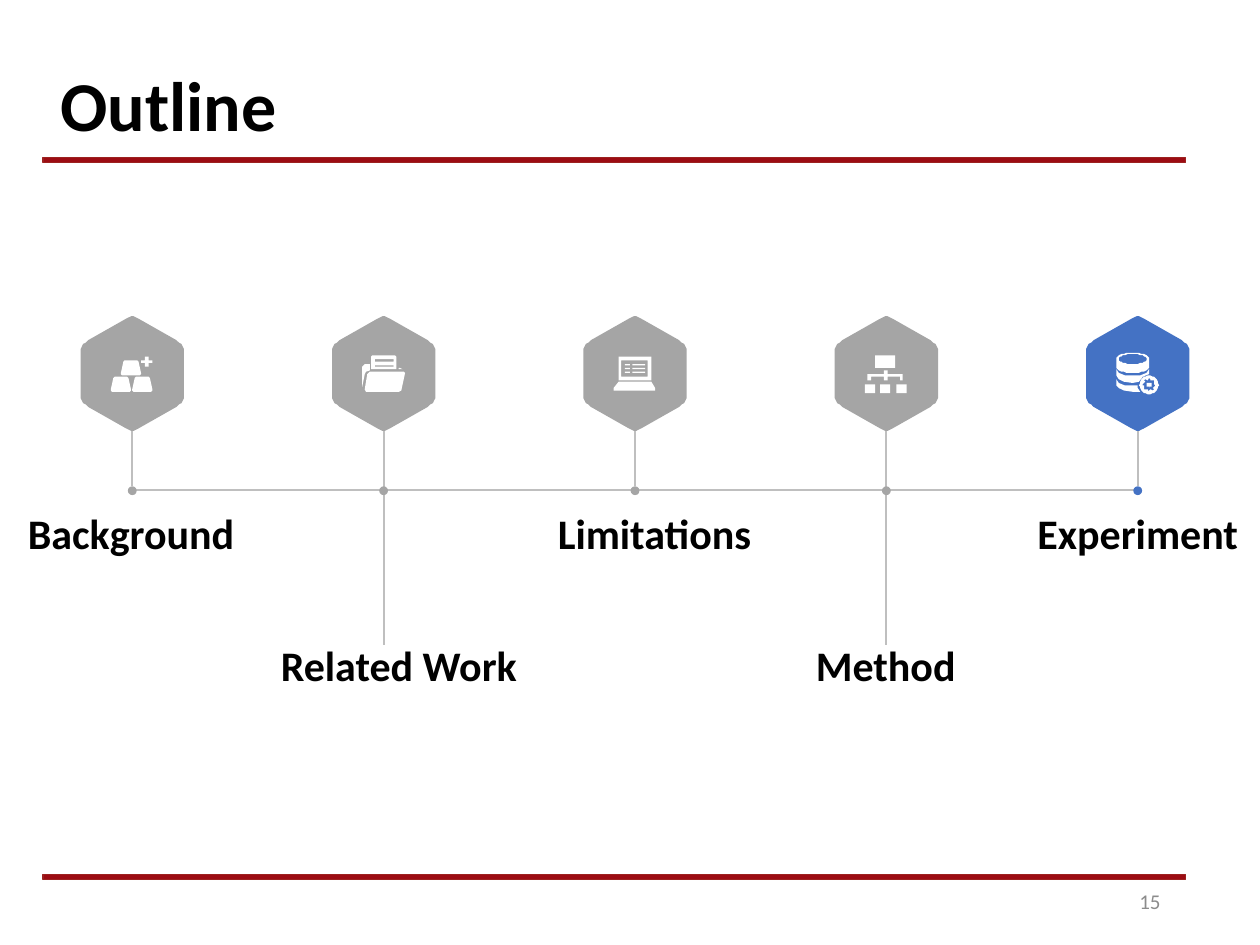
"""Build an outline slide with a five-step timeline whose last step is highlighted."""
from math import cos, pi, sin

from lxml import etree
from pptx import Presentation
from pptx.dml.color import RGBColor
from pptx.enum.shapes import MSO_CONNECTOR, MSO_SHAPE
from pptx.enum.text import MSO_ANCHOR, MSO_AUTO_SIZE, PP_ALIGN
from pptx.oxml.ns import qn
from pptx.util import Inches, Pt

STRAIGHT = MSO_CONNECTOR.STRAIGHT
OVAL, RECTANGLE = MSO_SHAPE.OVAL, MSO_SHAPE.RECTANGLE
LEFT, CENTER, RIGHT = PP_ALIGN.LEFT, PP_ALIGN.CENTER, PP_ALIGN.RIGHT
TOP, MIDDLE = MSO_ANCHOR.TOP, MSO_ANCHOR.MIDDLE
NO_AUTOFIT = MSO_AUTO_SIZE.NONE
GRAY, BLUE, WHITE, BLACK = "A5A5A5", "4472C4", "FFFFFF", "000000"
LINE_GRAY, RED, RED_EDGE, NUMBER_GRAY = "BFBFBF", "9C0C13", "9C2220", "8C8C8C"
color = RGBColor.from_string


def paint(shape, fill, edge=None):
    """Give a shape a flat fill and an optional thin edge."""
    shape.shadow.inherit = False
    shape.fill.solid()
    shape.fill.fore_color.rgb = color(fill)
    if edge:
        shape.line.color.rgb = color(edge)
        shape.line.width = Pt(1)
    else:
        shape.line.fill.background()


def box(left, top, right, bottom):
    """Return the corners of a box."""
    return [(left, top), (right, top), (right, bottom), (left, bottom)]


corner = [(1, 0), (3, 1), (5, 2), (35, 19), (37, 21), (39, 22), (40, 24), (41, 26), (41, 28)]
right_side = corner + [(x, 91 - y) for x, y in reversed(corner)]
hexagon = [right_side + [(-x, y) for x, y in reversed(right_side)]]

circle = [(cos(pi * step / 16), sin(pi * step / 16)) for step in range(32)]
ingot = [(3, 0), (13, 0), (14, 1), (16, 10), (16, 11), (15, 12), (1, 12), (0, 11), (0, 10), (2, 1)]
gold_icon = [
    *[[(x + left, y + top) for x, y in ingot] for left, top in [(0, 19), (17, 19), (8, 6)]],
    [(27, 3), (30, 3), (30, 6), (33, 6), (33, 8), (30, 8),
     (30, 11), (27, 11), (27, 8), (24, 8), (24, 6), (27, 6)],
]
folder_icon = [
    [(6, 15), (33, 15), (34, 16), (31, 30), (29, 31), (3, 31), (2, 29), (4, 17)],
    [(29, 12), (30, 12), (32, 13), (29, 13)],
    [(2, 17), (3, 15), (6, 14), (6, 9), (2, 9), (0, 11), (0, 27)],
    [(7, 13), (7, 3), (8, 2), (26, 2), (27, 3), (27, 13)],
    box(10, 5, 25, 7),
    box(10, 10, 25, 11),
]
laptop_icon = [
    box(4, 3, 30, 22),
    box(6, 6, 27, 19),
    *[box(left, top, right, top + 1)
      for top in (9, 12, 15) for left, right in [(9, 13), (15, 25)]],
    [(4, 23), (30, 23), (33, 28), (33, 30), (0, 30), (0, 28)],
]
tree_icon = [
    box(8, 2, 24, 12),
    *[box(left, 25, left + 8, 32) for left in (0, 12.5, 25)],
    [(15, 14), (18, 14), (18, 17), (30, 17), (30, 22), (28, 22), (28, 19), (18, 19),
     (18, 22), (15, 22), (15, 19), (5, 19), (5, 22), (2, 22), (2, 17), (15, 17)],
]
database_icon = [
    [(13 + 13 * x, (11 if y > 0 else 5) + 5 * y) for x, y in circle],
    [(13 + 11 * x, 5 + 4 * y) for x, y in circle],
    [(0, 13), (2, 15.5), (7, 17.5), (13, 18), (19, 17.5), (24, 15.5), (26, 13),
     (26, 17), (21, 19), (18, 23), (13, 24), (6, 23), (2, 21), (0, 18)],
    [(0, 21), (2, 23.5), (7, 25.5), (13, 26), (17, 26), (17.3, 28), (19, 31),
     (13, 31), (6, 30), (2, 28.5), (0, 26)],
    [(26 + 7.5 * x, 25.5 + 7.5 * y) for x, y in circle],
    [(26 + (5 if step % 4 < 2 else 3.8) * x, 25.5 + (5 if step % 4 < 2 else 3.8) * y)
     for step, (x, y) in enumerate(circle)],
    [(26 + 2 * x, 25.5 + 2 * y) for x, y in circle],
]

presentation = Presentation()
presentation.slide_width, presentation.slide_height = Inches(10), Inches(7.5)
slide = presentation.slides.add_slide(presentation.slide_layouts[5])
shapes = slide.shapes

icons = [gold_icon, folder_icon, laptop_icon, tree_icon, database_icon]
first_center, last_center = 1.05, 9.03
spacing = (last_center - first_center) / (len(icons) - 1)
centers = [first_center + spacing * index for index in range(len(icons))]
stem_ends = [5.12 if index % 2 else 3.86 for index in range(len(icons))]

lines = [(first_center, 3.89, last_center, 3.89)]
lines += [(center, 3.42, center, end) for center, end in zip(centers, stem_ends)]
for line in lines:
    connector = shapes.add_connector(STRAIGHT, *map(Inches, line))
    connector.line.color.rgb = color(LINE_GRAY)
    connector.line.width = Pt(1)
    etree.SubElement(connector._element.spPr, qn("a:effectLst"))

for center, icon in zip(centers, icons):
    step_color = BLUE if icon is database_icon else GRAY
    for contours, left, top, fill in [
        (hexagon, center, 2.51, step_color),
        (icon, center - 0.17, 2.8, WHITE),
    ]:
        builder = shapes.build_freeform(*contours[0][0], scale=Inches(0.01))
        for contour in contours:
            if contour is not contours[0]:
                builder.move_to(*contour[0])
            builder.add_line_segments(contour[1:], close=True)
        paint(builder.convert_to_shape(Inches(left), Inches(top)), fill)
    dot = shapes.add_shape(OVAL, Inches(center - 0.035), Inches(3.86), Inches(0.07), Inches(0.07))
    paint(dot, step_color)

for top in (1.25, 6.94):
    bar = shapes.add_shape(RECTANGLE, Inches(0.34), Inches(top), Inches(9.07), Inches(0.04))
    paint(bar, RED, RED_EDGE)

label_font = {"size": Pt(24), "bold": True, "name": "Calibri"}
title_font = {**label_font, "size": Pt(40)}
number_font = {"size": Pt(12), "bold": False, "name": "Calibri"}
texts = [
    ("Outline", (0.33, 0.44, 3.23, 0.77), LEFT, TOP, title_font, BLACK, 0.15),
    ("Background", (0.05, 4.01, 1.98, 0.43), CENTER, MIDDLE, label_font, BLACK, 0.07),
    ("Related Work", (1.99, 4.99, 2.35, 0.57), CENTER, MIDDLE, label_font, BLACK, 0.1),
    ("Limitations", (4.06, 4.05, 2.27, 0.35), CENTER, MIDDLE, label_font, BLACK, 0.1),
    ("Method", (6.15, 5.06, 1.76, 0.43), CENTER, MIDDLE, label_font, BLACK, 0.07),
    ("Experiment", (8.15, 4.01, 1.76, 0.43), CENTER, MIDDLE, label_font, BLACK, 0.07),
    ("15", (7.06, 6.95, 2.25, 0.4), RIGHT, MIDDLE, number_font, NUMBER_GRAY, 0.1),
]
for text, position, alignment, anchor, font_format, text_color, margin in texts:
    shape = shapes.title if text == "Outline" else shapes.add_textbox(0, 0, 0, 0)
    for name, value in zip(("left", "top", "width", "height"), position):
        setattr(shape, name, Inches(value))
    frame_format = {
        "word_wrap": True, "auto_size": NO_AUTOFIT, "vertical_anchor": anchor,
        "margin_left": Inches(margin), "margin_right": Inches(min(margin, 0.1)),
        "margin_top": Inches(0.05), "margin_bottom": Inches(0.05),
    }
    for name, value in frame_format.items():
        setattr(shape.text_frame, name, value)
    paragraph = shape.text_frame.paragraphs[0]
    paragraph.text = text
    paragraph.alignment = alignment
    for name, value in font_format.items():
        setattr(paragraph.font, name, value)
    paragraph.font.color.rgb = color(text_color)

presentation.save("out.pptx")
